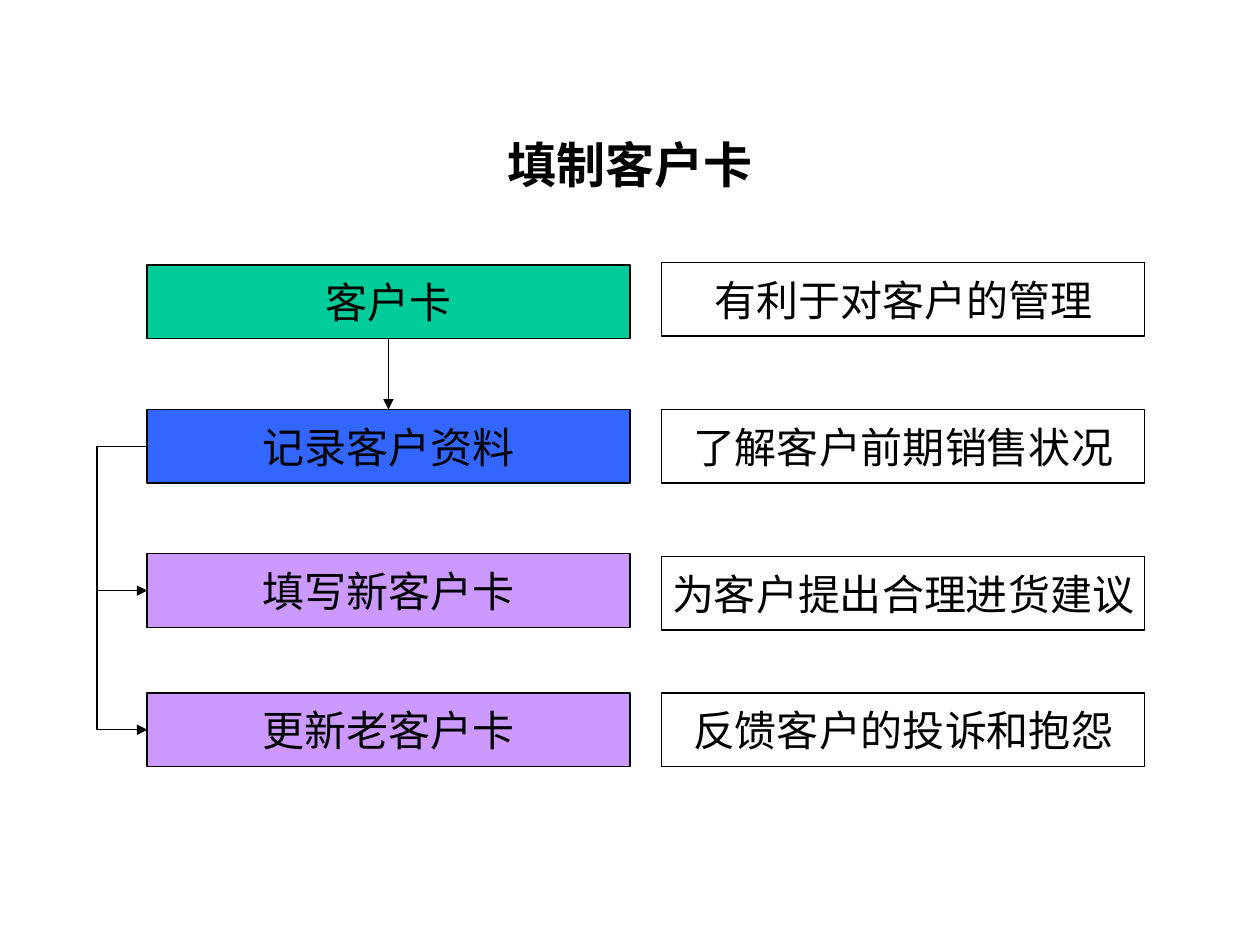
from dataclasses import dataclass
from typing import Optional

from lxml.etree import SubElement
from pptx import Presentation
from pptx.dml.color import RGBColor
from pptx.enum.shapes import MSO_CONNECTOR, MSO_SHAPE
from pptx.enum.text import MSO_ANCHOR, PP_ALIGN
from pptx.oxml.ns import qn
from pptx.shapes.autoshape import Shape
from pptx.shapes.connector import Connector
from pptx.slide import Slide
from pptx.util import Pt

BLACK = RGBColor(0x00, 0x00, 0x00)
GREEN = RGBColor(0x00, 0xCC, 0x99)
BLUE = RGBColor(0x33, 0x66, 0xFF)
PURPLE = RGBColor(0xCC, 0x99, 0xFF)

LATIN_FONT = "Times New Roman"
CHINESE_FONT = "Noto Sans CJK SC"

STEP_LEFT, BENEFIT_LEFT = 84, 378
BOX_WIDTH, BOX_HEIGHT = 276, 42
LINE_WIDTH = 0.75
ELBOW_REACH = 28.8
ELBOW_WIDTH = 0.2


@dataclass(frozen=True)
class Box:
    text: str
    left: float
    top: float
    fill: Optional[RGBColor] = None


CARD = Box("客户卡", STEP_LEFT, 151.5, GREEN)
RECORD = Box("记录客户资料", STEP_LEFT, 234, BLUE)
NEW_CARD = Box("填写新客户卡", STEP_LEFT, 316.5, PURPLE)
OLD_CARD = Box("更新老客户卡", STEP_LEFT, 396, PURPLE)
BENEFITS = [
    Box("有利于对客户的管理", BENEFIT_LEFT, 150),
    Box("了解客户前期销售状况", BENEFIT_LEFT, 234),
    Box("为客户提出合理进货建议", BENEFIT_LEFT, 318),
    Box("反馈客户的投诉和抱怨", BENEFIT_LEFT, 396),
]


def set_text(shape: Shape, text: str, size: float, font: str, bold: bool, wrap: bool) -> None:
    frame = shape.text_frame
    frame.text = text
    frame.word_wrap = wrap
    frame.vertical_anchor = MSO_ANCHOR.MIDDLE
    paragraph = frame.paragraphs[0]
    paragraph.alignment = PP_ALIGN.CENTER
    run = paragraph.runs[0]
    run.font.size = Pt(size)
    run.font.bold = bold
    run.font.color.rgb = BLACK
    run.font.name = font
    SubElement(run.font._element, qn("a:ea"), typeface=CHINESE_FONT)


def add_title(slide: Slide, text: str) -> None:
    title = slide.shapes.add_textbox(Pt(54), Pt(71.5), Pt(612), Pt(44))
    set_text(title, text, 28, CHINESE_FONT, bold=True, wrap=True)


def add_box(slide: Slide, box: Box) -> Shape:
    shape = slide.shapes.add_shape(
        MSO_SHAPE.RECTANGLE, Pt(box.left), Pt(box.top), Pt(BOX_WIDTH), Pt(BOX_HEIGHT)
    )
    shape.shadow.inherit = False
    if box.fill is None:
        shape.fill.background()
    else:
        shape.fill.solid()
        shape.fill.fore_color.rgb = box.fill
    shape.line.color.rgb = BLACK
    shape.line.width = Pt(LINE_WIDTH)
    set_text(shape, box.text, 24, LATIN_FONT, bold=False, wrap=False)
    return shape


def style_arrow(connector: Connector) -> None:
    connector.line.color.rgb = BLACK
    connector.line.width = Pt(LINE_WIDTH)
    SubElement(connector.line._get_or_add_ln(), qn("a:tailEnd"), type="triangle")
    SubElement(connector._element.spPr, qn("a:effectLst"))


def add_down_arrow(slide: Slide, source: Shape, target: Shape) -> None:
    connector = slide.shapes.add_connector(MSO_CONNECTOR.STRAIGHT, 0, 0, 0, 0)
    connector.begin_connect(source, 2)
    connector.end_connect(target, 0)
    style_arrow(connector)


def add_side_arrow(slide: Slide, source: Box, target: Box) -> None:
    """Leave the source's left side and loop back to the target's left side."""
    middle = BOX_HEIGHT / 2
    connector = slide.shapes.add_connector(
        MSO_CONNECTOR.ELBOW,
        Pt(source.left), Pt(source.top + middle),
        Pt(target.left + ELBOW_WIDTH), Pt(target.top + middle),
    )
    # The bend is given in 1/100000 of the connector's width.
    bend = -round(ELBOW_REACH / ELBOW_WIDTH * 100000)
    geometry = connector._element.spPr.find(qn("a:prstGeom"))
    adjustments = geometry.find(qn("a:avLst"))
    if adjustments is None:
        adjustments = SubElement(geometry, qn("a:avLst"))
    SubElement(adjustments, qn("a:gd"), name="adj1", fmla=f"val {bend}")
    style_arrow(connector)


def main() -> None:
    presentation = Presentation()
    presentation.slide_width, presentation.slide_height = Pt(720), Pt(540)
    slide = presentation.slides.add_slide(presentation.slide_layouts[6])

    add_title(slide, "填制客户卡")
    card = add_box(slide, CARD)
    record = add_box(slide, RECORD)
    for box in [NEW_CARD, OLD_CARD, *BENEFITS]:
        add_box(slide, box)

    add_down_arrow(slide, card, record)
    for target in (NEW_CARD, OLD_CARD):
        add_side_arrow(slide, RECORD, target)

    presentation.save("out.pptx")


if __name__ == "__main__":
    main()
